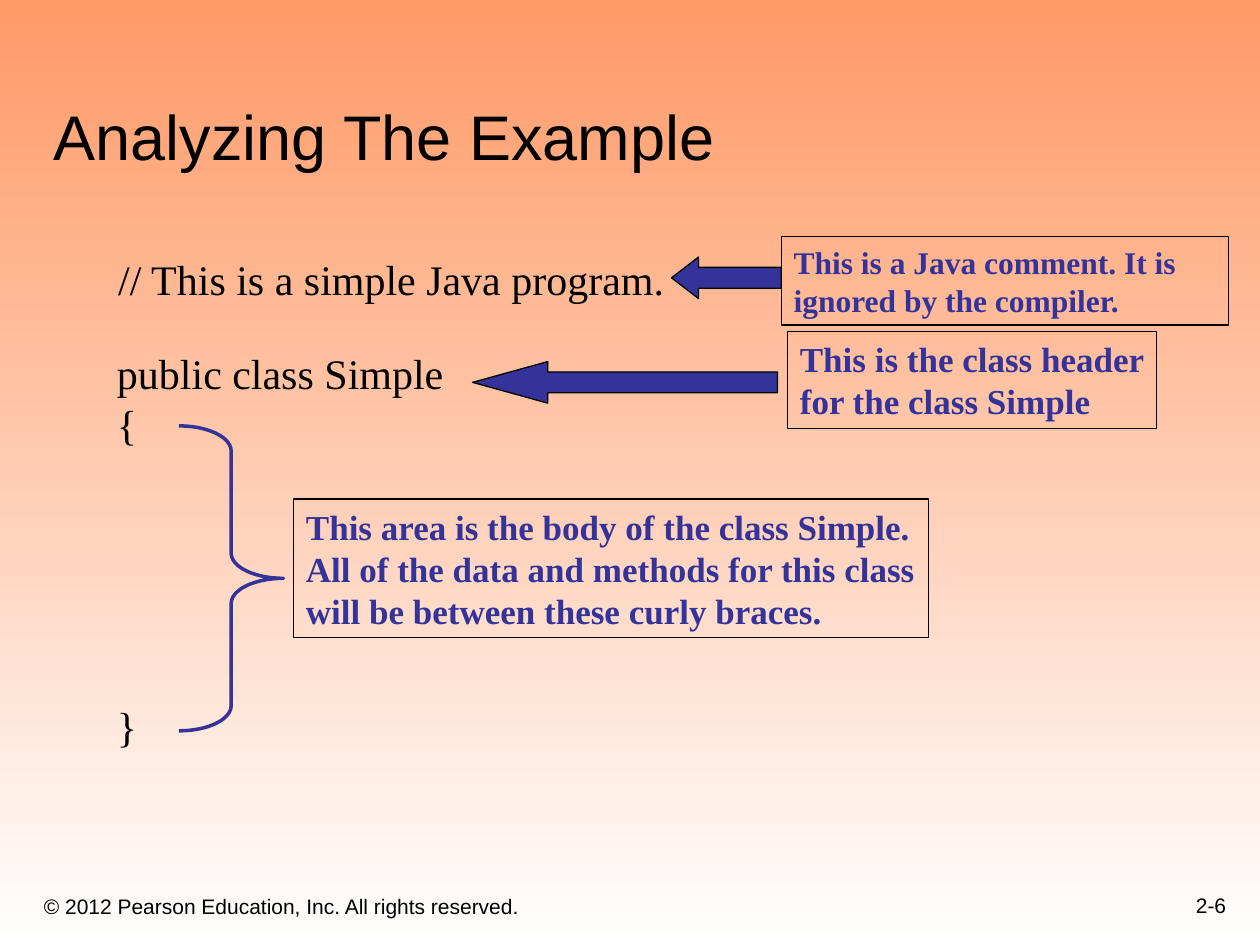
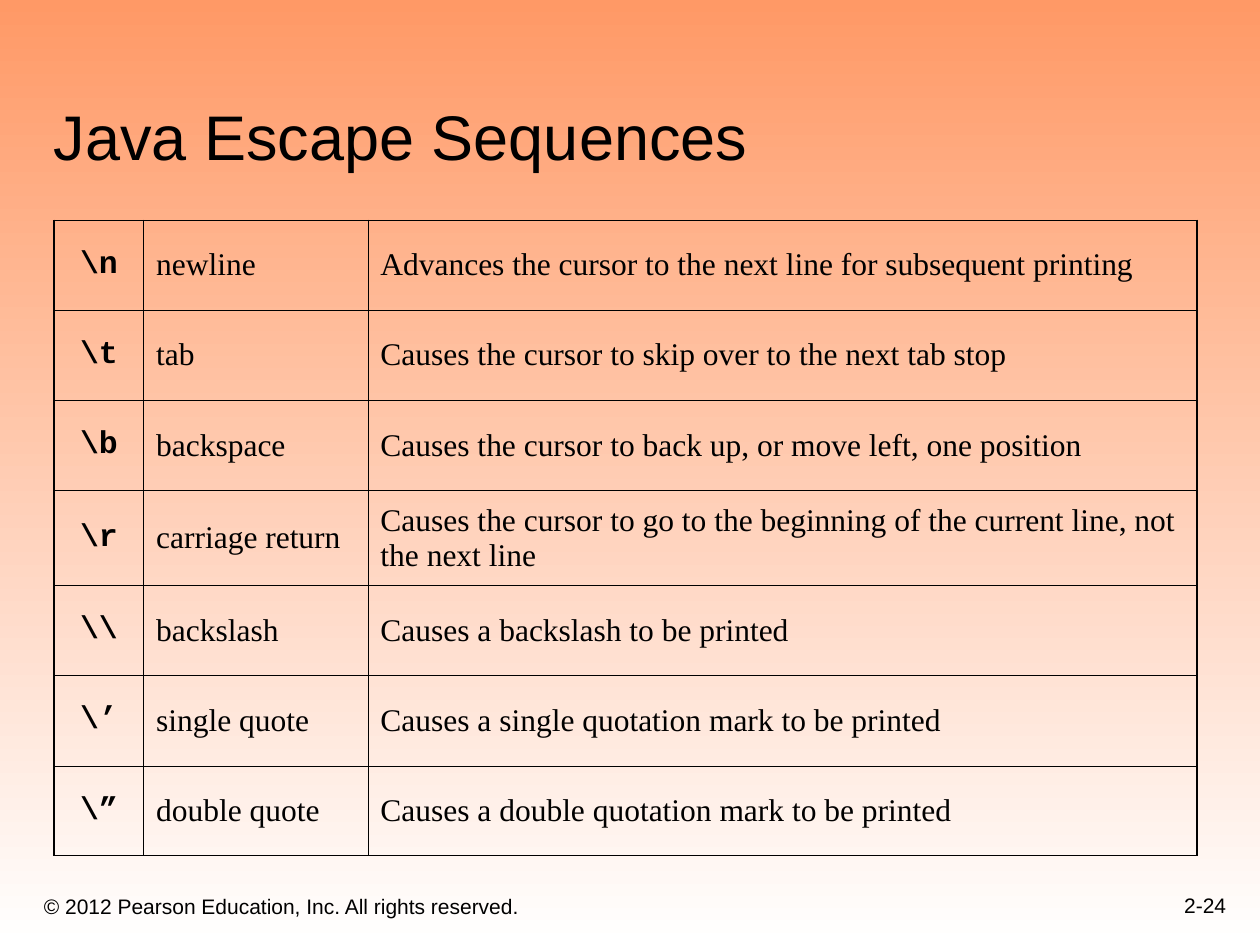
from lxml import etree
from pptx import Presentation
from pptx.dml.color import RGBColor
from pptx.enum.shapes import MSO_SHAPE
from pptx.enum.text import MSO_ANCHOR, PP_ALIGN
from pptx.oxml.ns import qn
from pptx.util import Inches, Pt

RECTANGLE = MSO_SHAPE.RECTANGLE
LEFT_ARROW = MSO_SHAPE.LEFT_ARROW
RIGHT_BRACE = MSO_SHAPE.RIGHT_BRACE
TOP, MIDDLE, BOTTOM = MSO_ANCHOR.TOP, MSO_ANCHOR.MIDDLE, MSO_ANCHOR.BOTTOM
LEFT, CENTER, RIGHT = PP_ALIGN.LEFT, PP_ALIGN.CENTER, PP_ALIGN.RIGHT

COLORS = {"orange": "FF9966", "white": "FFFFFF", "black": "000000", "indigo": "333399"}
SANS, SERIF, MONO = "Arial", "Times New Roman", "Courier New"


def write(frame, text, size, font=SERIF, color="black", bold=False,
          align=LEFT, anchor=TOP, wrap=True):
    """Fill a text frame with evenly styled paragraphs."""
    frame.text = text
    frame.word_wrap = wrap
    frame.vertical_anchor = anchor
    for paragraph in frame.paragraphs:
        paragraph.alignment = align
        paragraph.font.size = Pt(size)
        paragraph.font.name = font
        paragraph.font.bold = bold
        paragraph.font.color.rgb = RGBColor.from_string(COLORS[color])


def add_outline(slide, kind, box, line="black", width=0.75, fill=None):
    """Add a preset shape with a line and an optional fill."""
    shape = slide.shapes.add_shape(kind, *map(Inches, box))
    shape.shadow.inherit = False
    shape.line.color.rgb = RGBColor.from_string(COLORS[line])
    shape.line.width = Pt(width)
    if fill:
        shape.fill.solid()
        shape.fill.fore_color.rgb = RGBColor.from_string(COLORS[fill])
    else:
        shape.fill.background()
    return shape


presentation = Presentation()
presentation.slide_width, presentation.slide_height = Inches(10), Inches(7.5)

# Shared background, from orange at the top to white
background = presentation.slide_master.background.fill
background.gradient()
background.gradient_angle = 270
for stop, position, color in zip(background.gradient_stops, (0, 1), ("orange", "white")):
    stop.position = position
    stop.color.rgb = RGBColor.from_string(COLORS[color])

# Shared title, copyright line and page number
slides = []
for title, page in (("Analyzing The Example", "2-6"), ("Java Escape Sequences", "2-24")):
    slide = presentation.slides.add_slide(presentation.slide_layouts[6])
    slides.append(slide)
    for text, box, size, align in (
        (title, (0.33, 0.33, 9.42, 1.09), 36, LEFT),
        ("© 2012 Pearson Education, Inc. All rights reserved.", (0.25, 6.92, 6.08, 0.42), 12, LEFT),
        (page, (7.75, 6.83, 2.08, 0.5), 12, RIGHT),
    ):
        textbox = slide.shapes.add_textbox(*map(Inches, box))
        write(textbox.text_frame, text, size, SANS, align=align, anchor=BOTTOM)

example_slide, escape_slide = slides

# Example program; the closing brace stands below the empty class body
comment = example_slide.shapes.add_textbox(*map(Inches, (0.84, 1.96, 4.54, 0.5)))
write(comment.text_frame, "// This is a simple Java program.", 24, wrap=False)
program = example_slide.shapes.add_textbox(*map(Inches, (0.83, 2.71, 3.25, 3.3)))
write(program.text_frame, "public class Simple\n{\n}", 24)
program.text_frame.paragraphs[2].space_before = Pt(144)

# Brace around the class body
body_brace = add_outline(example_slide, RIGHT_BRACE, (1.42, 3.38, 0.83, 2.42), "indigo", 2)
body_brace.adjustments[0] = 0.24

# Arrows to the comment and the class header
for box, head_length in (((5.33, 2.04, 0.87, 0.33), 0.65), ((3.75, 2.87, 2.42, 0.33), 1.81)):
    arrow = add_outline(example_slide, LEFT_ARROW, box, fill="indigo")
    arrow.adjustments[1] = head_length

# Callouts
for text, box, size, wrap in (
    ("This is a Java comment. It is ignored by the compiler.", (6.2, 1.88, 3.55, 0.7), 18, True),
    ("This is the class header\vfor the class Simple", (6.25, 2.63, 2.93, 0.77), 20, False),
    ("This area is the body of the class Simple.\n"
     "All of the data and methods for this class\vwill be between these curly braces.",
     (2.33, 3.96, 5.04, 1.1), 20, False),
):
    callout = add_outline(example_slide, RECTANGLE, box)
    write(callout.text_frame, text, size, color="indigo", bold=True, wrap=wrap)

# Escape sequence table
ESCAPES = (
    (r"\n", "newline", "Advances the cursor to the next line for subsequent printing"),
    (r"\t", "tab", "Causes the cursor to skip over to the next tab stop"),
    (r"\b", "backspace", "Causes the cursor to back up, or move left, one position"),
    (r"\r", "carriage return",
     "Causes the cursor to go to the beginning of the current line, not the next line"),
    (r"\\", "backslash", "Causes a backslash to be printed"),
    (r"\’", "single quote", "Causes a single quotation mark to be printed"),
    (r"\”", "double quote", "Causes a double quotation mark to be printed"),
)
COLUMN_WIDTHS = (0.71, 1.78, 6.58)
ROW_HEIGHTS = (0.71, 0.72, 0.71, 0.76, 0.71, 0.72, 0.71)
OUTER_BORDER, INNER_BORDER = Pt(1.08), Pt(0.45)

table = escape_slide.shapes.add_table(
    len(ESCAPES), len(COLUMN_WIDTHS), Inches(0.43), Inches(1.75),
    Inches(sum(COLUMN_WIDTHS)), Inches(sum(ROW_HEIGHTS))).table
table.first_row = table.horz_banding = False
for column, width in zip(table.columns, COLUMN_WIDTHS):
    column.width = Inches(width)
for row, height in zip(table.rows, ROW_HEIGHTS):
    row.height = Inches(height)

last_row, last_column = len(ESCAPES) - 1, len(COLUMN_WIDTHS) - 1
for row_index, texts in enumerate(ESCAPES):
    for column_index, text in enumerate(texts):
        cell = table.cell(row_index, column_index)
        is_code = column_index == 0
        write(cell.text_frame, text, 18, MONO if is_code else SERIF, bold=is_code,
              align=CENTER if is_code else LEFT)
        cell.vertical_anchor = MIDDLE
        cell.fill.background()
        # Borders are heavier along the outside of the table
        properties = cell._tc.get_or_add_tcPr()
        sides = (("L", column_index == 0), ("R", column_index == last_column),
                 ("T", row_index == 0), ("B", row_index == last_row))
        for position, (side, is_outer) in enumerate(sides):
            border = etree.Element(qn(f"a:ln{side}"), w=str(OUTER_BORDER if is_outer else INNER_BORDER))
            border_fill = etree.SubElement(border, qn("a:solidFill"))
            etree.SubElement(border_fill, qn("a:srgbClr"), val=COLORS["black"])
            properties.insert(position, border)

presentation.save("out.pptx")
